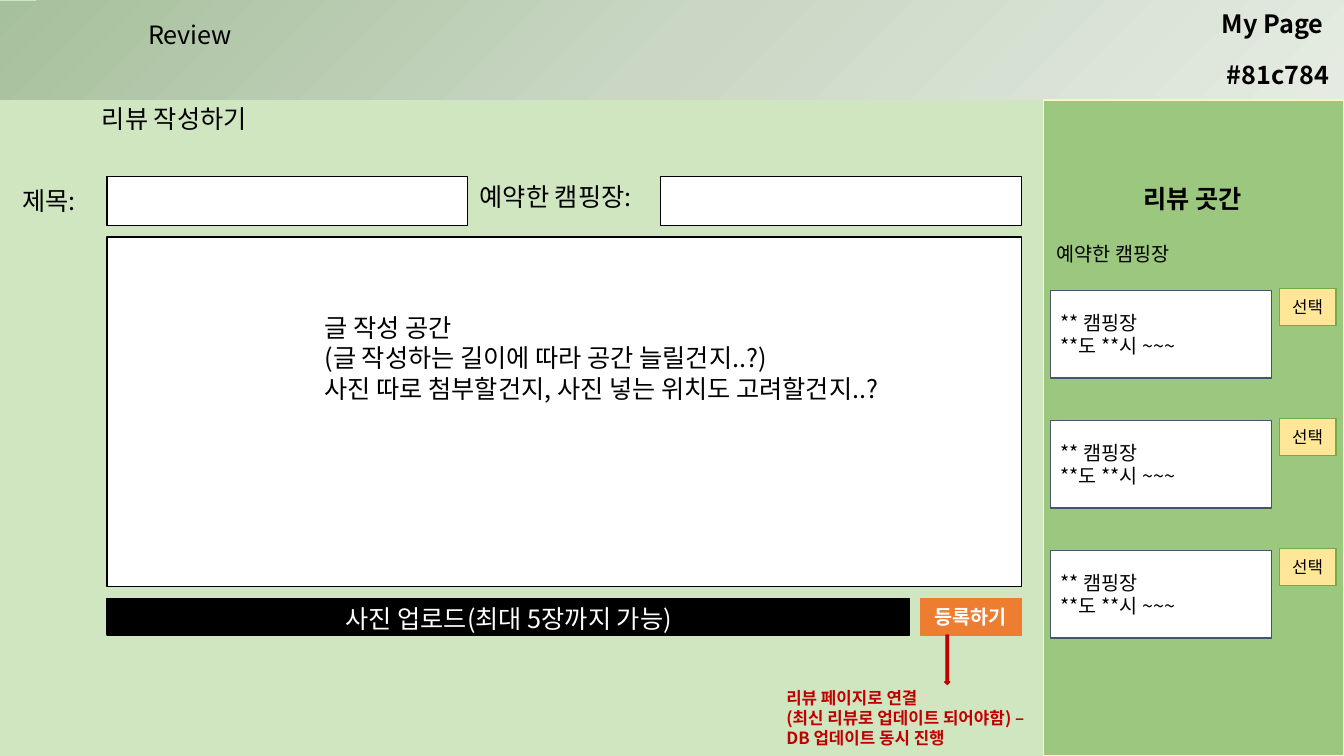
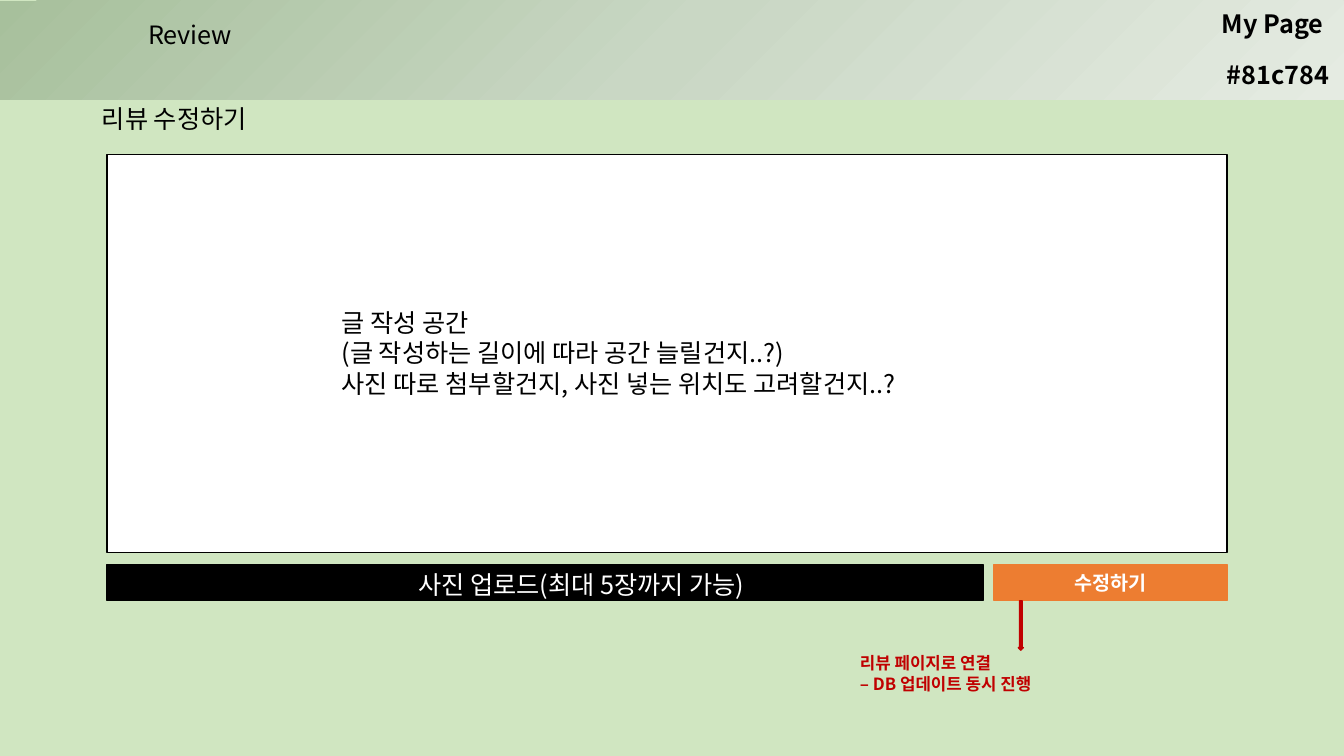
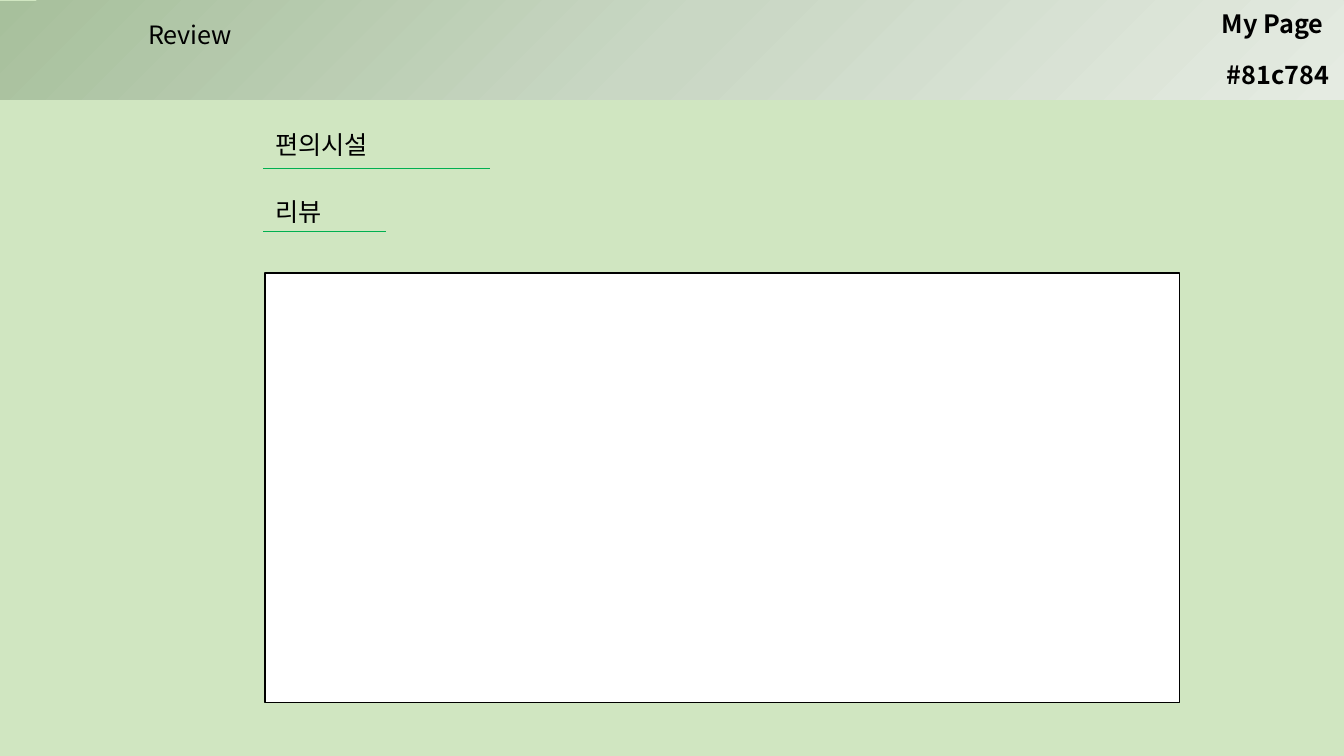
from copy import deepcopy

from lxml.etree import SubElement
from pptx import Presentation
from pptx.dml.color import RGBColor
from pptx.enum.shapes import MSO_CONNECTOR, MSO_SHAPE
from pptx.enum.text import MSO_ANCHOR, MSO_AUTO_SIZE, PP_ALIGN
from pptx.oxml.ns import qn
from pptx.util import Inches, Pt

FONT = "Noto Sans CJK KR"
BLACK, WHITE, RED, ORANGE = "000000", "FFFFFF", "C00000", "ED7D31"
BACKGROUND, SIDEBAR, CREAM = "D0E6C1", "9BC77E", "FFF2CC"
SLATE, LEAF, YELLOW, UNDERLINE = "44546A", "70AD47", "FFE699", "00B050"
HEADER_GRADIENT = [(0, "A7C09C"), (0.5, "C9D7C4"), (1, "E5EBE2")]

HEADER_TEXTS = [  # text, left, top, width, bold
    ("Review", 1.37, 0.14, 1.82, False),
    ("#81c784", 12.07, 0.54, 1.26, True),
    ("My Page", 12.02, 0.03, 1.3, True),
]
HINT = [
    "글 작성 공간",
    "(글 작성하는 길이에 따라 공간 늘릴건지..?)",
    "사진 따로 첨부할건지, 사진 넣는 위치도 고려할건지..?",
]
UPLOAD = "사진 업로드(최대 5장까지 가능)"
WRITE_PAGE = {
    "title": "리뷰 작성하기",
    "editor": (1.06, 2.35, 9.07, 3.47),
    "hint_at": (3.12, 3.05),
    "upload_left": 2.87,
    "button": "등록하기",
    "button_width": 1,
    "note": ["리뷰 페이지로 연결", "(최신 리뷰로 업데이트 되어야함) – DB 업데이트 동시 진행"],
}
EDIT_PAGE = {
    "title": "리뷰 수정하기",
    "editor": (1.06, 1.53, 11.11, 3.95),
    "hint_at": (3.29, 3),
    "upload_left": 3.59,
    "button": "수정하기",
    "button_width": 2.31,
    "note": ["리뷰 페이지로 연결", "– DB 업데이트 동시 진행"],
}
FIELDS = [  # label, label box, input left
    ("제목:", (0.12, 1.79, 0.92, 0.4), 1.06),
    ("예약한 캠핑장:", (4.66, 1.75, 1.87, 0.4), 6.55),
]
CAMPSITES = [["** 캠핑장", "**도 **시 ~~~"]] * 3
CARD_TOP, CARD_STEP = 2.88, 1.29


def color(value):
    return RGBColor.from_string(value)


def inches(box):
    return [Inches(length) for length in box]


def write(shape, lines, size=18, ink=BLACK, bold=False, align=PP_ALIGN.LEFT,
          anchor=MSO_ANCHOR.TOP):
    frame = shape.text_frame
    frame.text = "\n".join(lines)
    frame.word_wrap = True
    frame.auto_size = MSO_AUTO_SIZE.NONE
    frame.vertical_anchor = anchor
    for paragraph in frame.paragraphs:
        paragraph.alignment = align
        font = paragraph.font
        font.name, font.size, font.bold = FONT, Pt(size), bold
        font.color.rgb = color(ink)
        properties = next(paragraph._p.iter(qn("a:defRPr")))
        SubElement(properties, qn("a:ea"), typeface=FONT)


def add_text(slide, box, lines, **style):
    write(slide.shapes.add_textbox(*inches(box)), lines, **style)


def add_box(slide, box, fill, line, kind=MSO_SHAPE.RECTANGLE):
    shape = slide.shapes.add_shape(kind, *inches(box))
    shape.shadow.inherit = False
    shape.fill.solid()
    shape.fill.fore_color.rgb = color(fill)
    shape.line.color.rgb = color(line)
    shape.line.width = Pt(1)
    return shape


def add_button(slide, box, label, fill, line, **style):
    write(add_box(slide, box, fill, line), [label],
          align=PP_ALIGN.CENTER, anchor=MSO_ANCHOR.MIDDLE, **style)


def add_underline(slide, left, top, width):
    line = slide.shapes.add_connector(
        MSO_CONNECTOR.STRAIGHT, *inches((left, top, left + width, top)))
    line.line.color.rgb = color(UNDERLINE)
    line.line.width = Pt(0.5)
    SubElement(line.element.spPr, qn("a:effectLst"))


def add_header(slide):
    band = add_box(slide, (0, 0.01, 13.33, 0.98), WHITE, WHITE)
    band.line.fill.background()
    band.fill.gradient()
    band.fill.gradient_angle = 315
    stop_list = next(band.element.iter(qn("a:gsLst")))
    stop_list.insert(1, deepcopy(stop_list[0]))
    for stop, (position, value) in zip(band.fill.gradient_stops, HEADER_GRADIENT):
        stop.position = position
        stop.color.rgb = color(value)
    for text, left, top, width, bold in HEADER_TEXTS:
        add_text(slide, (left, top, width, 0.4), [text], bold=bold)


def add_page(presentation, title, box):
    """Add a slide with its title and the shared header."""
    slide = presentation.slides.add_slide(presentation.slide_layouts[5])
    placeholder = slide.shapes.title
    placeholder.left, placeholder.top, placeholder.width, placeholder.height = inches(box)
    write(placeholder, [title])
    add_header(slide)
    return slide


def add_editor_page(presentation, page):
    slide = add_page(presentation, page["title"], (0.91, 0.97, 5.11, 0.4))
    left, top, width, height = page["editor"]
    add_box(slide, page["editor"], WHITE, BLACK)
    add_text(slide, (*page["hint_at"], 6.47, 1.01), HINT)

    bar_top, bar_height = top + height + 0.12, 0.36
    button_width = page["button_width"]
    button_left = left + width - button_width
    add_box(slide, (left, bar_top, width - button_width - 0.11, bar_height), BLACK, BLACK)
    add_text(slide, (page["upload_left"], bar_top, 4.35, 0.4), [UPLOAD],
             ink=WHITE, align=PP_ALIGN.CENTER)
    add_button(slide, (button_left, bar_top, button_width, bar_height), page["button"],
               ORANGE, ORANGE, size=14, ink=WHITE, bold=True)

    arrow_left = button_left + 0.24
    add_box(slide, (arrow_left, bar_top + bar_height, 0.05, 0.49), RED, RED,
            MSO_SHAPE.DOWN_ARROW)
    add_text(slide, (arrow_left - 1.67, bar_top + 0.83, 2.65, 0.71), page["note"],
             size=12, ink=RED, bold=True)
    return slide


def add_fields(slide):
    for label, label_box, input_left in FIELDS:
        add_text(slide, label_box, [label])
        add_box(slide, (input_left, 1.75, 3.58, 0.49), WHITE, BLACK)


def add_sidebar(slide):
    add_box(slide, (10.35, 0.99, 2.98, 6.51), SIDEBAR, CREAM)
    add_text(slide, (11.13, 1.77, 1.4, 0.4), ["리뷰 곳간"], bold=True, align=PP_ALIGN.CENTER)
    add_text(slide, (10.38, 2.35, 2.9, 0.34), ["예약한 캠핑장"], size=14)
    for index, campsite in enumerate(CAMPSITES):
        top = CARD_TOP + index * CARD_STEP
        card = add_box(slide, (10.42, top, 2.19, 0.87), WHITE, SLATE)
        write(card, campsite, size=14, anchor=MSO_ANCHOR.MIDDLE)
        add_button(slide, (12.69, top - 0.02, 0.56, 0.37), "선택", YELLOW, LEAF, size=12)


def add_facilities_page(presentation):
    slide = add_page(presentation, "편의시설", (2.63, 1.23, 1.21, 0.4))
    add_underline(slide, 2.61, 1.67, 2.25)
    add_text(slide, (2.63, 1.9, 0.75, 0.4), ["리뷰"])
    add_underline(slide, 2.61, 2.3, 1.22)
    add_box(slide, (2.63, 2.71, 9.07, 4.26), WHITE, BLACK)


def main():
    presentation = Presentation()
    presentation.slide_width, presentation.slide_height = inches((13.33, 7.5))
    background = presentation.slide_master.background.fill
    background.solid()
    background.fore_color.rgb = color(BACKGROUND)

    write_slide = add_editor_page(presentation, WRITE_PAGE)
    add_fields(write_slide)
    add_sidebar(write_slide)
    add_editor_page(presentation, EDIT_PAGE)
    add_facilities_page(presentation)
    presentation.save("out.pptx")


if __name__ == "__main__":
    main()
